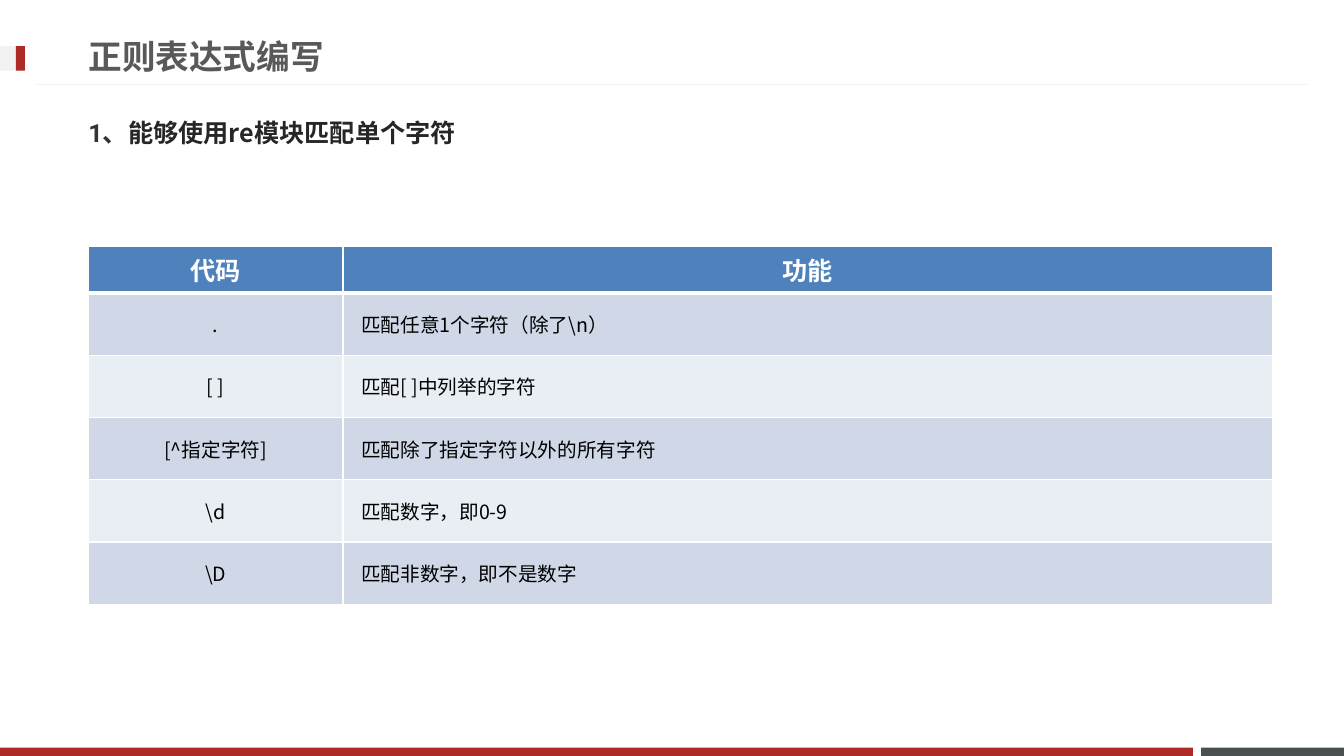
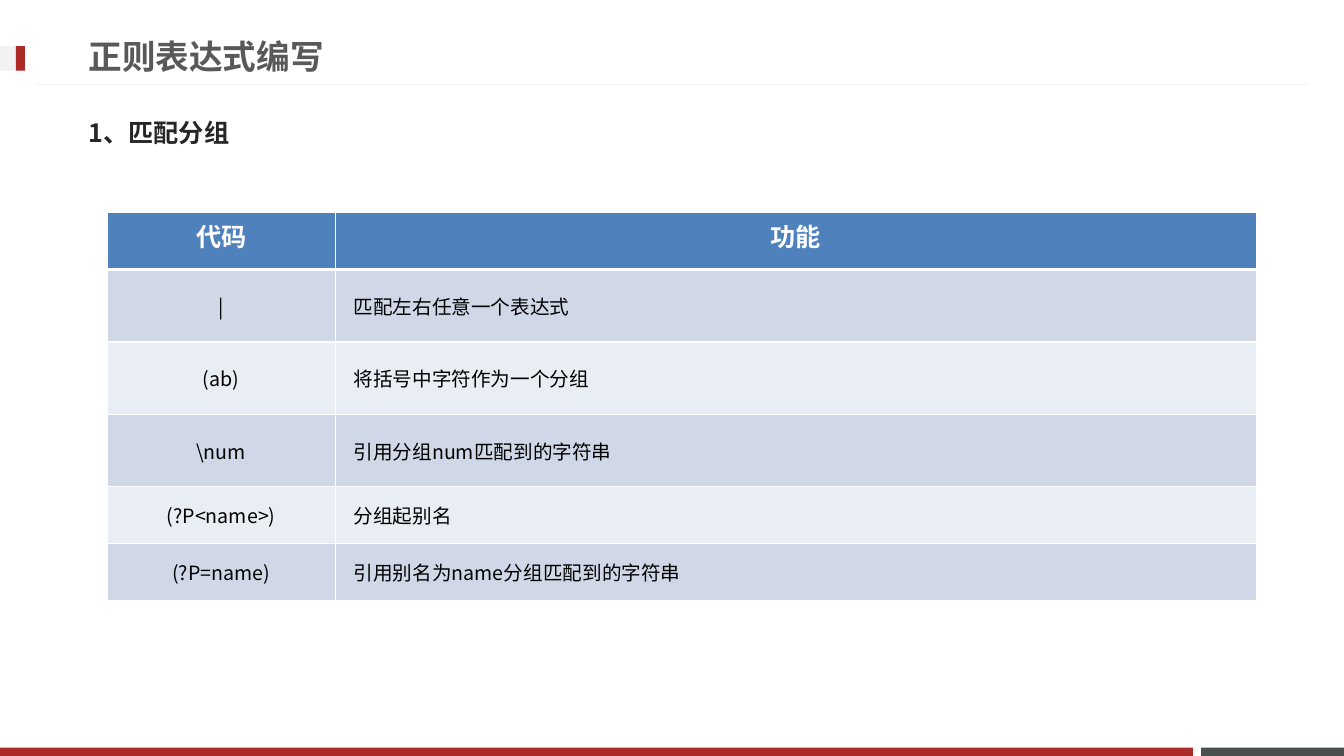
from lxml.etree import SubElement
from pptx import Presentation
from pptx.dml.color import RGBColor
from pptx.enum.shapes import MSO_CONNECTOR, MSO_SHAPE
from pptx.enum.text import MSO_ANCHOR, PP_ALIGN
from pptx.oxml.ns import qn
from pptx.util import Pt

RED, SLATE, PALE = "AD2B26", "49504F", "F2F2F2"
GREY, DARK, INK = "595959", "262626", "333333"
WHITE, BLACK, HEAD = "FFFFFF", "000000", "4F81BD"
BANDS = ("D0D8E8", "E9EDF4")
CJK = "Noto Sans CJK SC"
WIDE, HIGH = 960, 540
TITLE = (56, 19.5, 690, 41)
BODY = (56, 74, 847, 41)


def color(code):
    return RGBColor.from_string(code)


def place(shape, box):
    shape.left, shape.top, shape.width, shape.height = map(Pt, box)


def add_run(para, text, size, font, code, bold=False):
    run = para.add_run()
    run.text = text
    run.font.size = Pt(size)
    run.font.bold = bold
    run.font.color.rgb = color(code)
    run.font.name = font
    SubElement(run._r.get_or_add_rPr(), qn("a:ea")).set("typeface", CJK)


def add_rect(shapes, box, code):
    rect = shapes.add_shape(MSO_SHAPE.RECTANGLE, *map(Pt, box))
    rect.shadow.inherit = False
    rect.fill.solid()
    rect.fill.fore_color.rgb = color(code)
    rect.line.fill.background()
    return rect


def add_rule(shapes, left, right, top):
    rule = shapes.add_connector(
        MSO_CONNECTOR.STRAIGHT, Pt(left), Pt(top), Pt(right), Pt(top))
    rule.line.color.rgb = color(PALE)
    rule.line.width = Pt(0.75)
    SubElement(rule.element.spPr, qn("a:effectLst"))
    return rule


def dress(layout, slide):
    """Give the layout its bands, rule and placeholder places.

    Layouts cannot draw shapes, so they are drawn on a slide and moved.
    """
    for holder in list(layout.placeholders):
        index = holder.placeholder_format.idx
        if index > 1:
            layout.shapes.element.remove(holder.element)
        else:
            place(holder, BODY if index else TITLE)
    shapes = slide.shapes
    top = HIGH - 6
    parts = [
        add_rect(shapes, (858, top, WIDE - 858, 6), SLATE),
        add_rect(shapes, (0, top, 852, 6), RED),
        add_rule(shapes, 25.5, 934.5, 60.25),
        add_rect(shapes, (0, 33, 18, 17.5), PALE),
        add_rect(shapes, (11.25, 33, 6.5, 17.5), RED),
    ]
    for part in parts:
        layout.shapes.element.append(part.element)


def fill_title(holder, text):
    frame = holder.text_frame
    frame.vertical_anchor = MSO_ANCHOR.MIDDLE
    para = frame.paragraphs[0]
    para.alignment = PP_ALIGN.LEFT
    add_run(para, text, 24, "Arial", GREY, True)


def fill_topic(holder, runs):
    frame = holder.text_frame
    frame.vertical_anchor = MSO_ANCHOR.MIDDLE
    para = frame.paragraphs[0]
    props = para._p.get_or_add_pPr()
    props.set("marL", "0")
    props.set("indent", "0")
    SubElement(props, qn("a:buNone"))
    for text, font, code in runs:
        add_run(para, text, 18, font, code, True)


def edge(cell, sides):
    """Draw white borders; sides maps L, R, T, B to widths in points."""
    props = cell._tc.get_or_add_tcPr()
    for side, width in sides.items():
        line = SubElement(props, qn("a:ln" + side), w=str(Pt(width)))
        paint = SubElement(line, qn("a:solidFill"))
        SubElement(paint, qn("a:srgbClr"), val=WHITE)


def fill_cell(cell, text, row, col):
    first = row == 0
    edge(cell, {"L": 1, "R": 1, "T": 3 if row == 1 else 1,
                "B": 3 if first else 1})
    cell.fill.solid()
    cell.fill.fore_color.rgb = color(HEAD if first else BANDS[(row - 1) % 2])
    para = cell.text_frame.paragraphs[0]
    para.alignment = PP_ALIGN.CENTER if first or col == 0 else PP_ALIGN.LEFT
    if first:
        add_run(para, text, 18, "Calibri", WHITE, True)
    else:
        cell.vertical_anchor = MSO_ANCHOR.MIDDLE
        cell.margin_left = cell.margin_right = Pt(13)
        cell.margin_top = cell.margin_bottom = Pt(6)
        add_run(para, text, 14, CJK, BLACK)


def add_grid(slide, left, top, widths, heights, rows):
    rows = [("代码", "功能"), *rows]
    box = (left, top, sum(widths), sum(heights))
    grid = slide.shapes.add_table(len(rows), len(widths), *map(Pt, box)).table
    for col, width in zip(grid.columns, widths):
        col.width = Pt(width)
    for row, height in zip(grid.rows, heights):
        row.height = Pt(height)
    for r, texts in enumerate(rows):
        for c, text in enumerate(texts):
            fill_cell(grid.cell(r, c), text, r, c)


SINGLE = [
    (".", "匹配任意1个字符（除了\\n）"),
    ("[ ]", "匹配[ ]中列举的字符"),
    ("[^指定字符]", "匹配除了指定字符以外的所有字符"),
    ("\\d", "匹配数字，即0-9"),
    ("\\D", "匹配非数字，即不是数字"),
]
GROUPS = [
    ("|", "匹配左右任意一个表达式"),
    ("(ab)", "将括号中字符作为一个分组"),
    ("\\num", "引用分组num匹配到的字符串"),
    ("(?P<name>)", "分组起别名"),
    ("(?P=name)", "引用别名为name分组匹配到的字符串"),
]
PAGES = [
    ([("1、", "Roboto", INK), ("能够使用re模块匹配单个字符", CJK, DARK)],
     (63, 176, (182, 664), [31] + [44.5] * 5, SINGLE)),
    ([("1、匹配分组", CJK, DARK)],
     (76.5, 151.5, (163, 658), [41] + [51.75] * 3 + [40.75] * 2, GROUPS)),
]


def main():
    deck = Presentation()
    deck.slide_width, deck.slide_height = Pt(WIDE), Pt(HIGH)
    layout = deck.slide_layouts[1]
    for topic, grid in PAGES:
        slide = deck.slides.add_slide(layout)
        if len(deck.slides) == 1:
            dress(layout, slide)
        fill_title(slide.shapes.title, "正则表达式编写")
        fill_topic(slide.placeholders[1], topic)
        add_grid(slide, *grid)
    deck.save("out.pptx")


if __name__ == "__main__":
    main()
